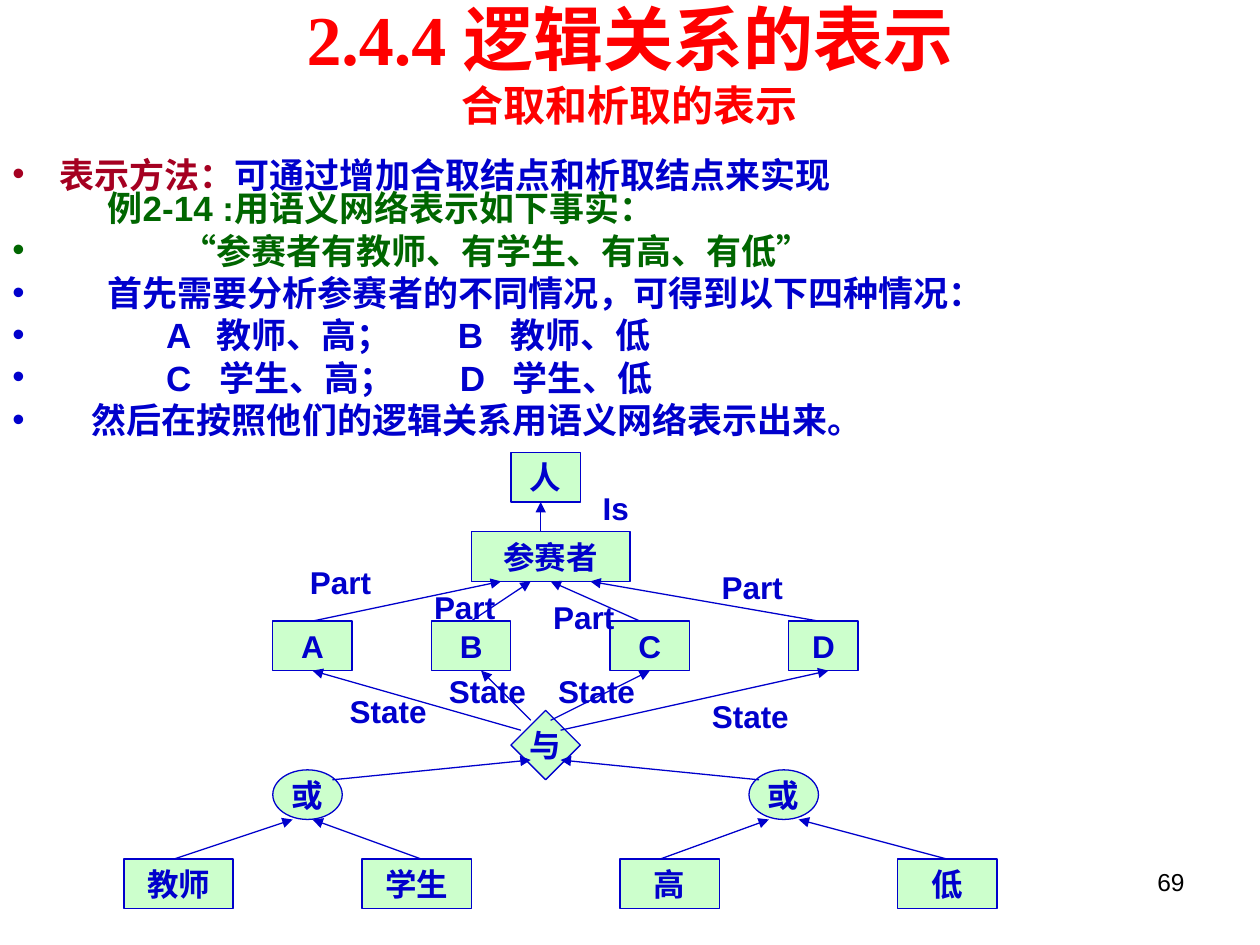
from lxml import etree
from pptx import Presentation
from pptx.dml.color import RGBColor
from pptx.enum.shapes import MSO_CONNECTOR, MSO_SHAPE
from pptx.enum.text import MSO_ANCHOR, PP_ALIGN
from pptx.oxml.ns import qn
from pptx.util import Cm, Pt

RED = RGBColor(0xFF, 0x00, 0x00)
MAROON = RGBColor(0xA5, 0x00, 0x21)
BLUE = RGBColor(0x00, 0x00, 0xCC)
GREEN = RGBColor(0x00, 0x66, 0x00)
PALE_GREEN = RGBColor(0xCC, 0xFF, 0xCC)
BLACK = RGBColor(0x00, 0x00, 0x00)
CENTER, RIGHT = PP_ALIGN.CENTER, PP_ALIGN.RIGHT
MIDDLE = MSO_ANCHOR.MIDDLE
RECTANGLE, OVAL, DIAMOND = MSO_SHAPE.RECTANGLE, MSO_SHAPE.OVAL, MSO_SHAPE.DIAMOND
STRAIGHT = MSO_CONNECTOR.STRAIGHT
TOP, BOTTOM = 0, 2

presentation = Presentation()
presentation.slide_width = Cm(25.4)
presentation.slide_height = Cm(19.05)
slide = presentation.slides.add_slide(presentation.slide_layouts[6])


def add_run(paragraph, text, size, color, bold=True, font="Arial"):
    run = paragraph.add_run()
    run.text = text
    run.font.name = font
    run.font.size = Pt(size)
    run.font.bold = bold
    run.font.color.rgb = color


def add_text_frame(left, top, width, height, inset_x=0.25, inset_y=0.13):
    box = slide.shapes.add_textbox(Cm(left), Cm(top), Cm(width), Cm(height))
    frame = box.text_frame
    frame.word_wrap = True
    frame.margin_left = frame.margin_right = Cm(inset_x)
    frame.margin_top = frame.margin_bottom = Cm(inset_y)
    return frame


paragraph = add_text_frame(18.2, 17.35, 5.93, 1.32).paragraphs[0]
paragraph.alignment = RIGHT
add_run(paragraph, "69", 14, BLACK, bold=False)

title = add_text_frame(1.27, 0, 22.86, 2.52)
title.vertical_anchor = MIDDLE
paragraph = title.paragraphs[0]
paragraph.alignment = CENTER
add_run(paragraph, "2.4.4 逻辑关系的表示", 40, RED, font="Times New Roman")
paragraph.add_line_break()
add_run(paragraph, "合取和析取的表示", 24, RED, font="Times New Roman")

body_lines = [
    (0.95, MAROON, [], [("表示方法：", MAROON), ("可通过增加合取结点和析取结点来实现", BLUE)]),
    (1.92, None, [], [("例2-14 :用语义网络表示如下事实：", GREEN)]),
    (3.4, GREEN, [], [("“参赛者有教师、有学生、有高、有低”", GREEN)]),
    (1.92, BLUE, [], [("首先需要分析参赛者的不同情况，可得到以下四种情况：", BLUE)]),
    (0, BLUE, [3.1, 4.12, 8.98, 10.04], [("\tA\t教师、高；\tB\t教师、低", BLUE)]),
    (0, BLUE, [3.1, 4.17, 9.02, 10.08], [("\tC\t学生、高；\tD\t学生、低", BLUE)]),
    (1.6, BLUE, [], [("然后在按照他们的逻辑关系用语义网络表示出来。", BLUE)]),
]
body = add_text_frame(0, 3.12, 24.71, 15.93)
for index, (indent, bullet_color, tabs, parts) in enumerate(body_lines):
    paragraph = body.add_paragraph() if index else body.paragraphs[0]
    properties = paragraph._p.get_or_add_pPr()
    properties.set("marL", str(Cm(indent)))
    if bullet_color is None:
        properties.set("indent", "0")
        etree.SubElement(properties, qn("a:buNone"))
    else:
        properties.set("indent", str(-Cm(indent)))
        bullet_fill = etree.SubElement(properties, qn("a:buClr"))
        etree.SubElement(bullet_fill, qn("a:srgbClr"), val=str(bullet_color))
        etree.SubElement(properties, qn("a:buFont"), typeface="Arial")
        etree.SubElement(properties, qn("a:buChar"), char="•")
    if tabs:
        tab_list = etree.SubElement(properties, qn("a:tabLst"))
        for position in tabs:
            etree.SubElement(tab_list, qn("a:tab"), pos=str(Cm(position)), algn="l")
    paragraph.line_spacing = 0.8
    if index and bullet_color is not None:
        paragraph.space_before = Pt(5)
    for text, color in parts:
        add_run(paragraph, text, 20, color)

node_rows = [
    (9.12, 1, RECTANGLE, [("人", 10.3, 1.4)]),
    (10.72, 1, RECTANGLE, [("参赛者", 9.5, 3.2)]),
    (12.52, 1, RECTANGLE, [("A", 5.5, 1.6), ("B", 8.7, 1.6), ("C", 12.3, 1.6), ("D", 15.9, 1.4)]),
    (15.52, 1, OVAL, [("或", 5.5, 1.4), ("或", 15.1, 1.4)]),
    (17.32, 1, RECTANGLE, [("教师", 2.5, 2.2), ("学生", 7.3, 2.2), ("高", 12.5, 2), ("低", 18.1, 2)]),
    (14.32, 1.4, DIAMOND, [("与", 10.3, 1.4)]),
]
nodes = {}
for top, height, kind, row in node_rows:
    for text, left, width in row:
        shape = slide.shapes.add_shape(kind, Cm(left), Cm(top), Cm(width), Cm(height))
        shape.shadow.inherit = False
        shape.fill.solid()
        shape.fill.fore_color.rgb = PALE_GREEN
        shape.line.color.rgb = BLUE
        shape.line.width = Pt(0.75)
        frame = shape.text_frame
        frame.word_wrap = False
        frame.vertical_anchor = MIDDLE
        paragraph = frame.paragraphs[0]
        paragraph.alignment = CENTER
        add_run(paragraph, text, 18, BLUE)
        nodes[text] = shape

arrows = [
    (10.9, 10.72, 10.9, 10.12, None, None),
    (6.3, 12.52, 10.1, 11.72, "A", None),
    (9.5, 12.52, 10.7, 11.72, "B", None),
    (12.9, 12.52, 11.1, 11.72, None, None),
    (16.5, 12.52, 11.9, 11.72, None, None),
    (6.7, 15.72, 10.7, 15.32, None, None),
    (15.3, 15.72, 11.3, 15.32, None, None),
    (3.5, 17.32, 5.9, 16.52, None, None),
    (8.5, 17.32, 6.3, 16.52, None, None),
    (13.3, 17.32, 15.5, 16.52, None, None),
    (19.1, 17.32, 16.1, 16.52, "低", None),
    (10.5, 14.72, 6.3, 13.52, None, "A"),
    (10.7, 14.52, 9.7, 13.52, None, None),
    (11.1, 14.52, 13.1, 13.52, None, "C"),
    (11.3, 14.72, 16.7, 13.52, None, None),
]
for start_x, start_y, end_x, end_y, source, target in arrows:
    connector = slide.shapes.add_connector(STRAIGHT, Cm(start_x), Cm(start_y), Cm(end_x), Cm(end_y))
    if source:
        connector.begin_connect(nodes[source], TOP)
    if target:
        connector.end_connect(nodes[target], BOTTOM)
    connector.line.color.rgb = BLUE
    connector.line.width = Pt(0.75)
    etree.SubElement(connector.line._get_or_add_ln(), qn("a:tailEnd"), type="triangle")
    etree.SubElement(connector._element.spPr, qn("a:effectLst"))

WIDE_INSETS = (0.25, 0.13)
NARROW_INSETS = (0.15, 0.03)
labels = [
    ("Is", 11.9, 9.72, 1.4, 1.02, WIDE_INSETS),
    ("Part", 6.1, 11.32, 2, 0.81, NARROW_INSETS),
    ("Part", 8.5, 11.72, 1.85, 1.02, WIDE_INSETS),
    ("Part", 10.9, 11.92, 2, 1.02, WIDE_INSETS),
    ("Part", 14.3, 11.32, 1.8, 1.02, WIDE_INSETS),
    ("State", 6.9, 13.92, 2, 0.81, NARROW_INSETS),
    ("State", 8.9, 13.52, 2, 0.81, NARROW_INSETS),
    ("State", 11.1, 13.52, 2, 0.81, NARROW_INSETS),
    ("State", 14.1, 13.92, 2.18, 1.02, WIDE_INSETS),
]
for text, left, top, width, height, insets in labels:
    frame = add_text_frame(left, top, width, height, *insets)
    add_run(frame.paragraphs[0], text, 18, BLUE)

presentation.save("out.pptx")
